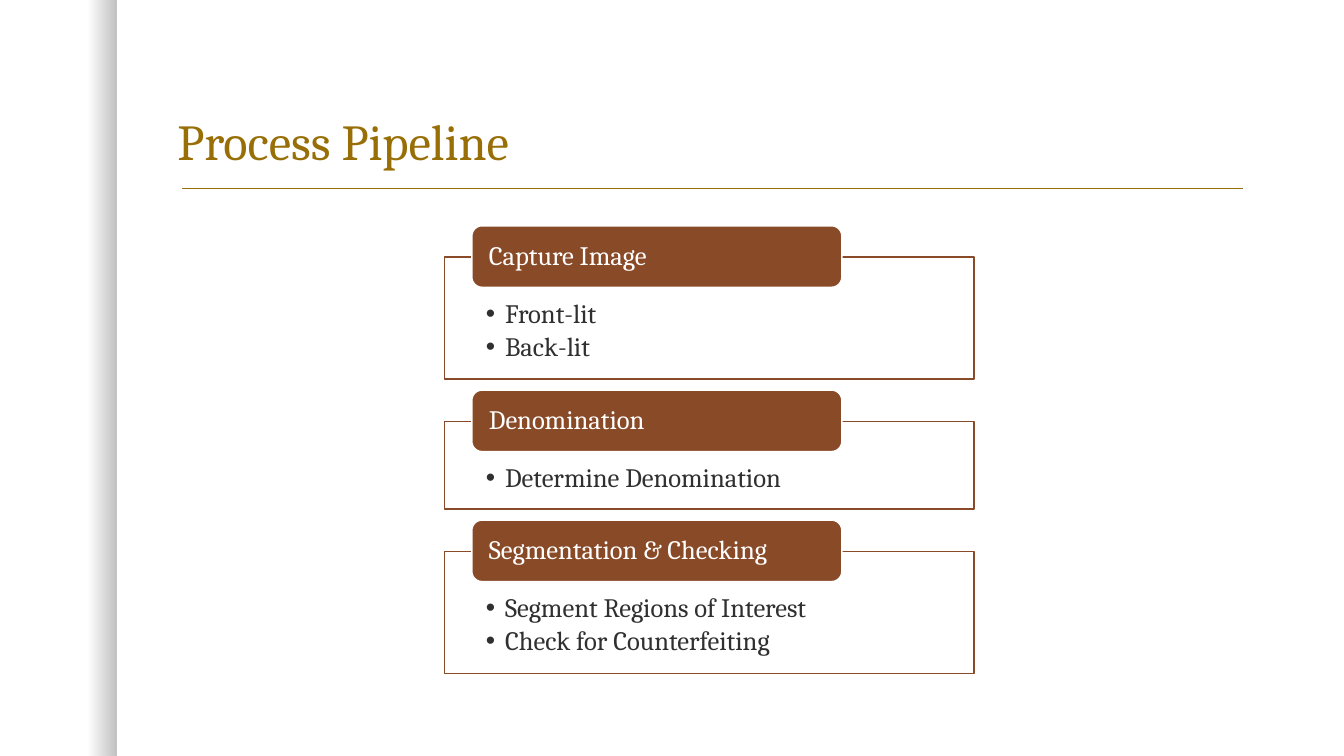
from dataclasses import dataclass
from lxml.etree import SubElement as Sub
from pptx import Presentation
from pptx.dml.color import RGBColor as RGB
from pptx.enum.shapes import MSO_CONNECTOR as Conn, MSO_SHAPE as Kind
from pptx.enum.text import MSO_ANCHOR as Anchor, MSO_AUTO_SIZE as Fit, PP_ALIGN as Align
from pptx.oxml.ns import qn
from pptx.util import Pt

PX = 9144


@dataclass(frozen=True)
class Theme:
    """Colours, font and type sizes of the slide."""
    gold: str = "986F07"
    brown: str = "894A27"
    ink: str = "303030"
    white: str = "FFFFFF"
    black: str = "000000"
    font: str = "Cambria"
    head: int = 36
    body: int = 19


LOOK = Theme()
STEPS = [
    ("Capture Image", ["Front-lit", "Back-lit"]),
    ("Denomination", ["Determine Denomination"]),
    ("Segmentation & Checking",
     ["Segment Regions of Interest", "Check for Counterfeiting"]),
]


def px(*nums):
    """Turn pixel lengths into EMU."""
    return [num * PX for num in nums]


def fade(shape, *parts):
    """Set the opacity of each fill colour of a shape, in percent."""
    fill = shape._element.spPr
    for color, part in zip(fill.iter(qn("a:srgbClr")), parts):
        Sub(color, qn("a:alpha"), val=str(part * 1000))


def block(slide, kind, area, fill, line):
    """Add a filled and outlined shape."""
    shape = slide.shapes.add_shape(kind, *px(*area))
    shape.shadow.inherit = False
    shape.fill.solid()
    shape.fill.fore_color.rgb = RGB.from_string(fill)
    shape.line.color.rgb = RGB.from_string(line)
    shape.line.width = Pt(1)
    return shape


def setup(frame, anchor, pads):
    """Set the anchor and the insets of a text frame."""
    frame.word_wrap = True
    frame.auto_size = Fit.NONE
    frame.vertical_anchor = anchor
    (frame.margin_left, frame.margin_top,
     frame.margin_right, frame.margin_bottom) = px(*pads)


def write(para, text, size, color):
    """Add one run to a left-aligned paragraph."""
    para.alignment = Align.LEFT
    para.line_spacing = 0.9
    run = para.add_run()
    run.text = text
    run.font.name = LOOK.font
    run.font.size = Pt(size)
    run.font.color.rgb = RGB.from_string(color)


def bullet(para):
    """Give a paragraph a hanging bullet."""
    para.space_after = Pt(3)
    props = para._p.get_or_add_pPr()
    props.set("marL", str(19 * PX))
    props.set("indent", str(-19 * PX))
    Sub(props, qn("a:buFont"), typeface="Arial")
    Sub(props, qn("a:buChar"), char="•")


def edge(slide):
    """Add the shaded band at the left edge."""
    band = slide.shapes.add_shape(Kind.RECTANGLE, *px(0, 0, 116, 750))
    band.shadow.inherit = False
    band.line.fill.background()
    band.fill.gradient()
    band.fill.gradient_angle = 0
    for stop, place in zip(band.fill.gradient_stops, (0.75, 1)):
        stop.position = place
        stop.color.rgb = RGB.from_string(LOOK.black)
    fade(band, 0, 25)


def rule(slide):
    """Add the line under the title."""
    line = slide.shapes.add_connector(Conn.STRAIGHT, *px(181, 187, 1233, 187))
    line.line.color.rgb = RGB.from_string(LOOK.gold)
    line.line.width = Pt(1)
    Sub(line._element.spPr, qn("a:effectLst"))


def title(slide, text):
    """Place and fill the title."""
    head = slide.shapes.title
    head.left, head.top, head.width, head.height = px(166, 42, 1075, 133)
    setup(head.text_frame, Anchor.BOTTOM, (10, 5, 10, 5))
    write(head.text_frame.paragraphs[0], text, LOOK.head, LOOK.gold)


def step(slide, top, name, items):
    """Add a step with its tab and return the bottom of its box."""
    high = 53 + 34 * len(items)
    box = block(slide, Kind.RECTANGLE, (441, top, 525, high), LOOK.white, LOOK.brown)
    fade(box, 90)
    frame = box.text_frame
    setup(frame, Anchor.TOP, (41, 43, 41, 15))
    for num, item in enumerate(items):
        para = frame.add_paragraph() if num else frame.paragraphs[0]
        bullet(para)
        write(para, item, LOOK.body, LOOK.ink)
    tab = block(slide, Kind.ROUNDED_RECTANGLE, (468, top - 31, 367, 61),
                LOOK.brown, LOOK.white)
    setup(tab.text_frame, Anchor.MIDDLE, (14, 0, 14, 0))
    write(tab.text_frame.paragraphs[0], name, LOOK.body, LOOK.white)
    return top + high


def main():
    """Build and save the slide."""
    deck = Presentation()
    deck.slide_width, deck.slide_height = px(1333, 750)
    slide = deck.slides.add_slide(deck.slide_layouts[5])
    edge(slide)
    rule(slide)
    title(slide, "Process Pipeline")
    top = 255
    for name, items in STEPS:
        top = step(slide, top, name, items) + 42
    deck.save("out.pptx")


if __name__ == "__main__":
    main()
